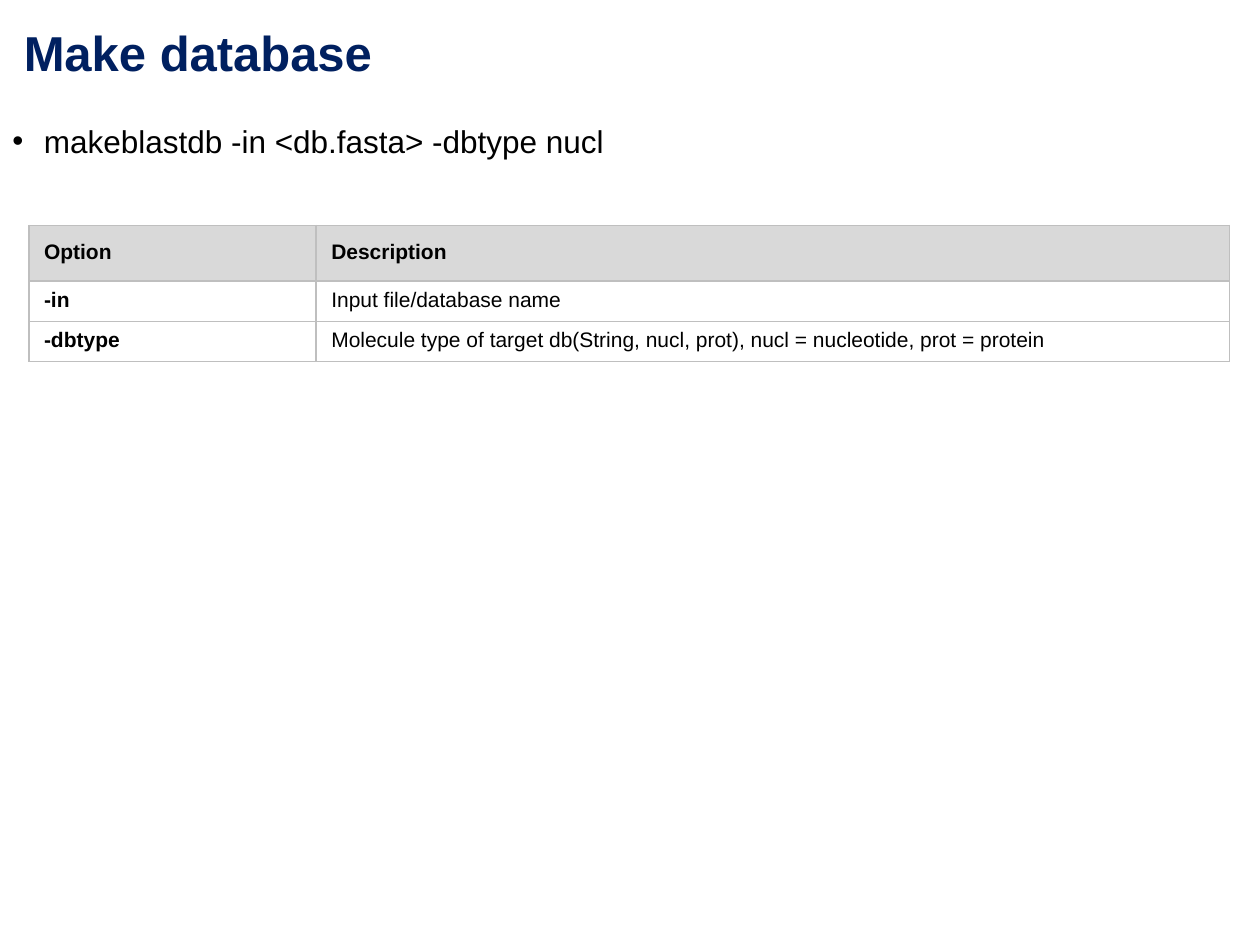
from lxml import etree
from pptx import Presentation
from pptx.dml.color import RGBColor
from pptx.oxml import ns
from pptx.util import Inches, Pt

TITLE = "Make database"
COMMAND = "makeblastdb -in <db.fasta> -dbtype nucl"
ROWS = [
    ("Option", "Description"),
    ("-in", "Input file/database name"),
    ("-dbtype", "Molecule type of target db(String, nucl, prot), nucl = nucleotide, prot = protein"),
]
WIDTHS = (2.28, 7.25)
HEIGHTS = (0.43, 0.31, 0.31)

NAVY = RGBColor(0x00, 0x20, 0x60)
BLACK = RGBColor(0, 0, 0)
WHITE = RGBColor(0xFF, 0xFF, 0xFF)
HEAD = RGBColor(0xD9, 0xD9, 0xD9)
GRID = RGBColor(0xBF, 0xBF, 0xBF)


def style(par, size, color, bold=False):
    for run in par.runs:
        font = run.font
        font.name, font.size, font.bold = "Arial", Pt(size), bold
        font.color.rgb = color


def add_text(slide, text, left, top, width, height):
    box = slide.shapes.add_textbox(*map(Inches, (left, top, width, height)))
    box.text_frame.word_wrap = True
    box.text_frame.text = text
    return box.text_frame.paragraphs[0]


def add_bullet(par):
    props = par._p.get_or_add_pPr()
    props.set("marL", str(Inches(0.25)))
    props.set("indent", str(-Inches(0.25)))
    etree.SubElement(props, ns.qn("a:buFont")).set("typeface", "Arial")
    etree.SubElement(props, ns.qn("a:buChar")).set("char", "•")


def add_border(cell):
    props = cell._tc.get_or_add_tcPr()
    for i, side in enumerate(("lnL", "lnR", "lnT", "lnB")):
        line = etree.Element(ns.qn("a:" + side), w=str(Pt(1)))
        fill = etree.SubElement(line, ns.qn("a:solidFill"))
        etree.SubElement(fill, ns.qn("a:srgbClr")).set("val", str(GRID))
        props.insert(i, line)


def add_options(slide):
    frame = slide.shapes.add_table(
        len(ROWS), len(WIDTHS), Inches(0.23), Inches(1.79),
        Inches(sum(WIDTHS)), Inches(sum(HEIGHTS)))
    table = frame.table
    for col, width in zip(table.columns, WIDTHS):
        col.width = Inches(width)
    for r, (row, height) in enumerate(zip(ROWS, HEIGHTS)):
        table.rows[r].height = Inches(height)
        for c, text in enumerate(row):
            cell = table.cell(r, c)
            cell.text = text
            cell.margin_left = cell.margin_right = Inches(0.12)
            cell.margin_top = cell.margin_bottom = Inches(0.06 if r else 0.12)
            cell.fill.solid()
            cell.fill.fore_color.rgb = WHITE if r else HEAD
            add_border(cell)
            style(cell.text_frame.paragraphs[0], 12, BLACK, r == 0 or c == 0)


def main():
    deck = Presentation()
    deck.slide_width, deck.slide_height = Inches(10), Inches(7.5)
    slide = deck.slides.add_slide(deck.slide_layouts[6])

    command = add_text(slide, COMMAND, 0, 0.95, 9.8, 0.5)
    add_bullet(command)
    command.line_spacing = 0.9
    style(command, 18, BLACK)

    add_options(slide)
    style(add_text(slide, TITLE, 0.09, 0.13, 7.92, 0.57), 28, NAVY, True)
    deck.save("out.pptx")


if __name__ == "__main__":
    main()
